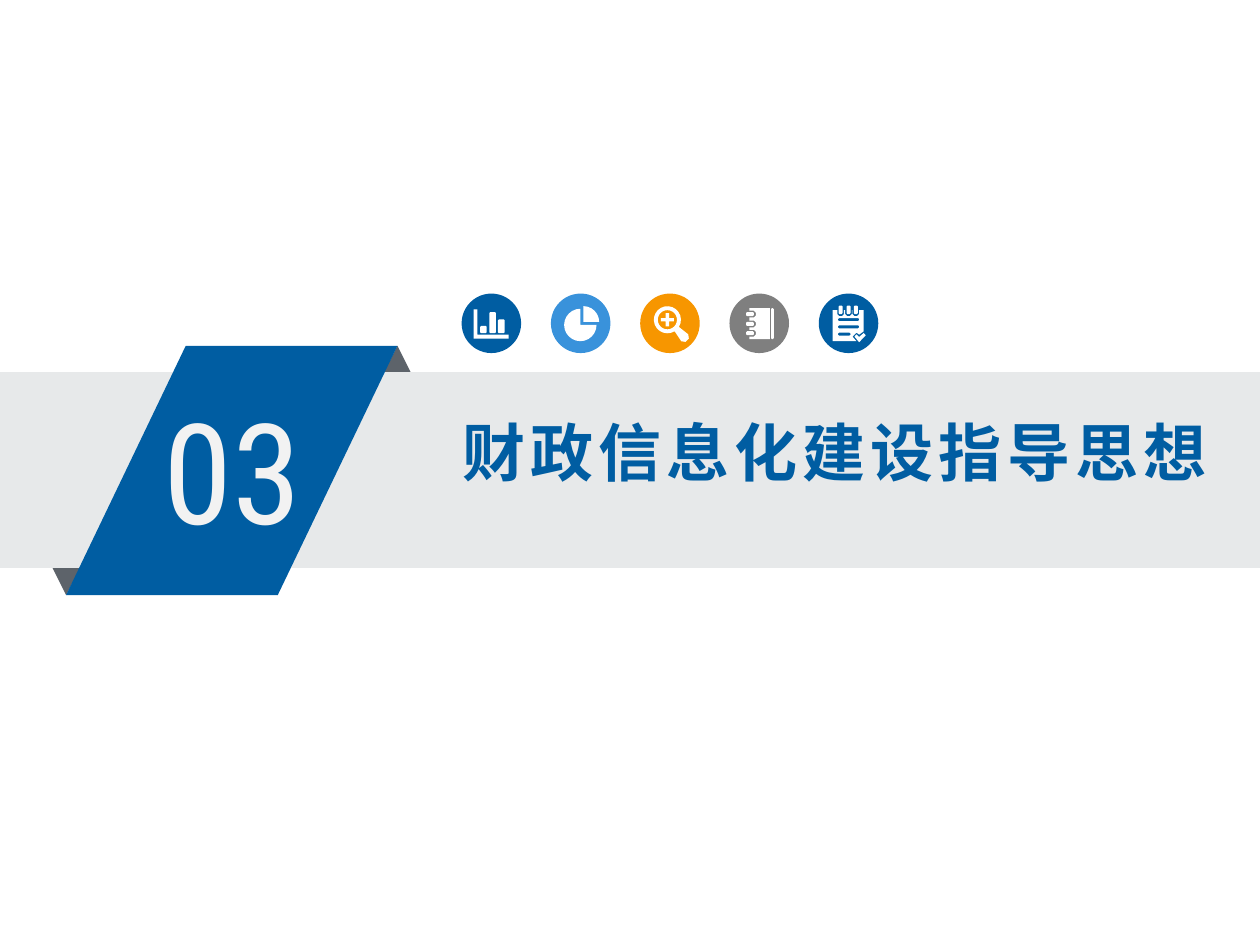
"""Build a section divider slide with a folded ribbon, five round icons and a title."""
import math

import pptx
import pptx.dml.color
import pptx.enum.shapes
import pptx.enum.text
import pptx.oxml
import pptx.util
from pptx.util import Cm

KIND = pptx.enum.shapes.MSO_SHAPE
COLOURS = {
    "blue": "005DA2",
    "sky": "3992DB",
    "orange": "F79600",
    "grey": "7F7F7F",
    "fold": "5D636A",
    "band": "E7E9EA",
    "pale": "F2F2F2",
    "white": "FFFFFF",
}
PAINT = {name: pptx.dml.color.RGBColor.from_string(code) for name, code in COLOURS.items()}


def paint_block(block, fill):
    block.shadow.inherit = False
    block.fill.solid()
    block.fill.fore_color.rgb = PAINT[fill]
    block.line.fill.background()


def arc(x, y, radius, start, end, steps):
    angles = [math.radians(start + (end - start) * step / steps) for step in range(steps + 1)]
    return [(x + radius * math.cos(angle), y + radius * math.sin(angle)) for angle in angles]


deck = pptx.Presentation()
deck.slide_width, deck.slide_height = Cm(19.05), Cm(14.29)
page = deck.slides.add_slide(deck.slide_layouts[6])

banner = page.shapes.add_group_shape()
banner_parts = [
    (KIND.ISOSCELES_TRIANGLE, 5.15, 5.23, 1.72, 1.72, 0, "fold"),
    (KIND.ISOSCELES_TRIANGLE, 0.14, 7.28, 1.72, 1.72, 180, "fold"),
    (KIND.RECTANGLE, 0, 5.63, 19.05, 2.96, 0, "band"),
    (KIND.PARALLELOGRAM, 1, 5.23, 5.01, 3.77, 0, "blue"),
]
for kind, left, top, width, height, turn, fill in banner_parts:
    part = banner.shapes.add_shape(kind, Cm(left), Cm(top), Cm(width), Cm(height))
    part.rotation = turn
    paint_block(part, fill)
part.adjustments[0] = 0.48

chart_boxes = [(280, 490, 100, 110), (420, 280, 100, 320), (550, 390, 100, 210)]
chart_axes = [(180, 240), (240, 240), (240, 620), (710, 620), (710, 680), (180, 680)]

pie_body = [(445, 475)] + arc(445, 475, 245, 0, 270, 18)
pie_slice = [(490, 430)] + arc(490, 430, 240, 270, 360, 6)

lens_handle = [(725, 615), (735, 680), (685, 730), (620, 720)]
lens_outside = arc(410, 395, 205, 58, 392, 20) + lens_handle
lens_inside = arc(410, 395, 145, 0, 345, 23)
plus_sign = [
    (385, 295), (435, 295), (435, 370), (510, 370), (510, 420), (435, 420),
    (435, 495), (385, 495), (385, 420), (310, 420), (310, 370), (385, 370),
]

notebook_boxes = [(630, 220, 40, 470)]
notebook_cover = [(610, 690), (610, 220), (300, 220)]
for middle in (310, 460, 600):
    notebook_boxes.append((250, middle - 30, 120, 60))
    notebook_cover += [
        (300, middle - 50), (370, middle - 50), (400, middle - 20),
        (400, middle + 20), (370, middle + 50), (300, middle + 50),
    ]
notebook_cover.append((300, 690))

notepad_boxes = [(290, 370, 320, 45), (290, 480, 320, 45), (290, 590, 190, 45)]
notepad_sheet = [(210, 250)]
for middle in (330, 450, 560):
    notepad_boxes.append((middle - 30, 180, 60, 130))
    notepad_sheet += [
        (middle - 50, 250), (middle - 50, 310), (middle - 20, 340),
        (middle + 20, 340), (middle + 50, 310), (middle + 50, 250),
    ]
notepad_sheet += [
    (680, 250), (680, 570), (610, 620), (570, 590), (510, 650), (570, 720), (210, 720),
]
tick = [(540, 650), (570, 615), (610, 655), (680, 595), (710, 630), (610, 735)]

icons = [
    (4, "blue", notepad_boxes, [notepad_sheet, tick]),
    (2, "orange", [], [lens_outside, lens_inside, plus_sign]),
    (3, "grey", notebook_boxes, [notebook_cover]),
    (0, "blue", chart_boxes, [chart_axes]),
    (1, "sky", [], [pie_body, pie_slice]),
]
first_left, icon_top, icon_pitch, icon_size, corner = 6.98, 4.44, 1.35, 0.9, 15
for position, fill, boxes, outlines in icons:
    left = Cm(first_left + position * icon_pitch)
    icon = page.shapes.add_group_shape()
    disc = icon.shapes.add_shape(KIND.OVAL, left, Cm(icon_top), Cm(icon_size), Cm(icon_size))
    paint_block(disc, fill)

    contours = list(outlines)
    for x, y, width, height in boxes:
        right, bottom = x + width, y + height
        contours.append([
            (x + corner, y), (right - corner, y), (right, y + corner),
            (right, bottom - corner), (right - corner, bottom), (x + corner, bottom),
            (x, bottom - corner), (x, y + corner),
        ])
    drawing = icon.shapes.build_freeform(*contours[0][0], scale=Cm(0.001))
    drawing.add_line_segments(contours[0][1:])
    for contour in contours[1:]:
        drawing.move_to(*contour[0])
        drawing.add_line_segments(contour[1:])
    paint_block(drawing.convert_to_shape(left, Cm(icon_top)), "white")

heading = page.shapes.add_group_shape()
labels = [
    (banner, "03", 2.32, 5.74, 2.74, 2.72, 60, "Roboto Condensed", "pale", False, 0),
    (heading, "财政信息化建设指导思想", 6.84, 6.18, 11.68, 1.3, 27, "Noto Sans CJK SC", "blue", True, 220),
]
for group, text, left, top, width, height, size, font, tint, bold, spacing in labels:
    box = group.shapes.add_textbox(Cm(left), Cm(top), Cm(width), Cm(height))
    frame = box.text_frame
    frame.text = text
    frame.word_wrap = False
    frame.auto_size = pptx.enum.text.MSO_AUTO_SIZE.SHAPE_TO_FIT_TEXT
    frame.margin_left = frame.margin_right = Cm(0.15)
    frame.margin_top = frame.margin_bottom = Cm(0.08)
    span = frame.paragraphs[0].runs[0]
    span.font.size = pptx.util.Pt(size)
    span.font.name = font
    span.font.bold = bold
    span.font.color.rgb = PAINT[tint]
    properties = span.font._element
    properties.set("spc", str(spacing))
    east_asian = pptx.oxml.parse_xml(
        '<a:ea xmlns:a="http://schemas.openxmlformats.org/drawingml/2006/main"'
        f' typeface="{font}"/>'
    )
    properties.append(east_asian)

deck.save("out.pptx")
